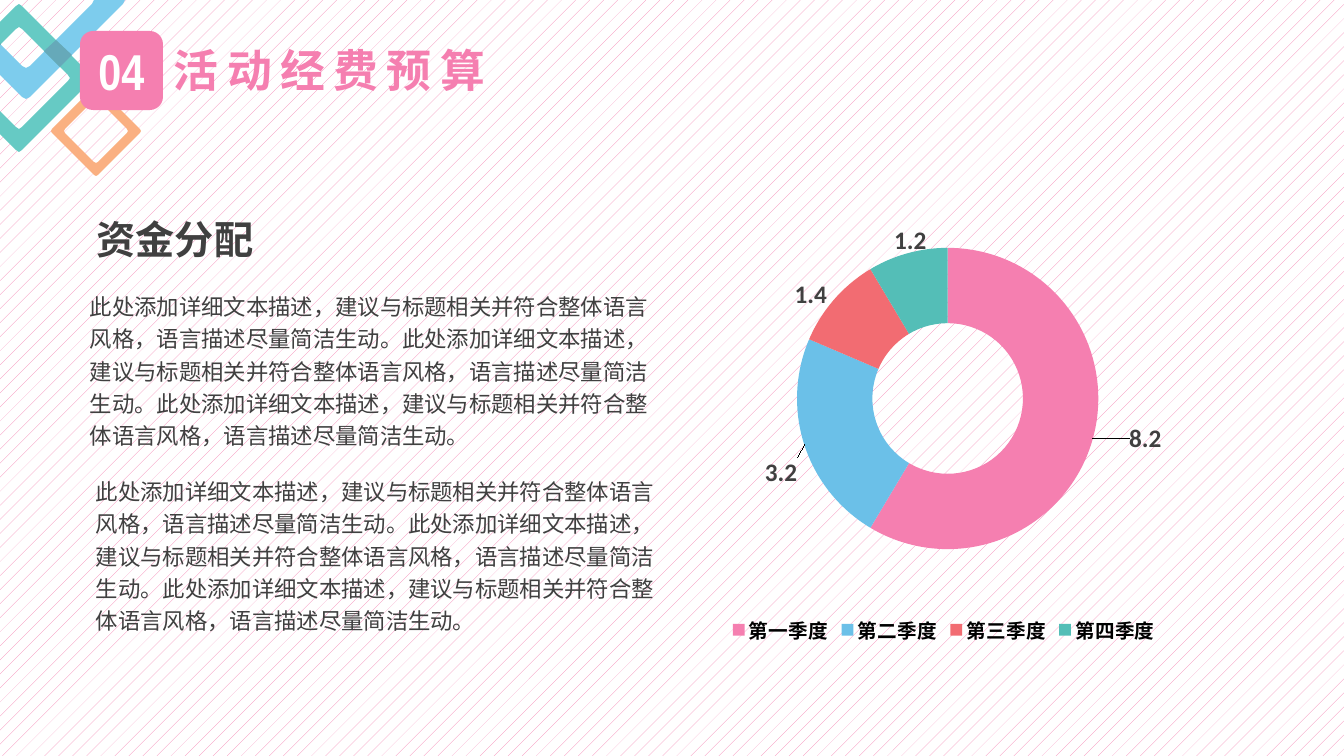
from lxml.etree import SubElement
from pptx import Presentation
from pptx.chart.data import CategoryChartData
from pptx.dml.color import RGBColor
from pptx.enum.chart import XL_CHART_TYPE as ChartType, XL_LEGEND_POSITION as LegendPosition
from pptx.enum.dml import MSO_PATTERN as Pattern
from pptx.enum.shapes import MSO_SHAPE as Shape
from pptx.enum.text import MSO_ANCHOR as Anchor, PP_ALIGN as Align
from pptx.oxml import parse_xml
from pptx.oxml.ns import nsdecls, qn
from pptx.util import Pt

EMU_PER_PX = 914400 / 100.8
CJK = "Noto Sans CJK SC"
COLORS = {
    "pink": "F57FB0", "white": "FFFFFF", "ink": "404040", "black": "000000",
    "sky": "7DCCED", "mint": "66CAC4", "overlap": "66A9B9", "peach": "FAB081",
    "blue": "6BC0E8", "coral": "F26C72", "teal": "54BEB7",
}
DESCRIPTION = "此处添加详细文本描述，建议与标题相关并符合整体语言风格，语言描述尽量简洁生动。" * 3
QUARTERS = [
    ("第一季度", 8.2, "pink", (0.12, 0.02)),
    ("第二季度", 3.2, "blue", (-0.08, 0.08)),
    ("第三季度", 1.4, "coral", (-0.07, -0.06)),
    ("第四季度", 1.2, "teal", (-0.01, -0.1)),
]


def px(*lengths):
    return [round(length * EMU_PER_PX) for length in lengths]


def color(name):
    return RGBColor.from_string(COLORS[name])


def diamond(x, y, radius, cut):
    """Return the outline of a diamond with softened corners."""
    near, tip = radius - cut, radius - cut // 2
    corners = [(-cut, -near), (0, -tip), (cut, -near), (near, -cut), (tip, 0), (near, cut),
               (cut, near), (0, tip), (-cut, near), (-near, cut), (-tip, 0), (-near, -cut)]
    return [(x + dx, y + dy) for dx, dy in corners]


def manual_layout(**values):
    fields = "".join(f'<c:{key} val="{value}"/>' for key, value in values.items())
    return parse_xml(f'<c:layout {nsdecls("c")}><c:manualLayout>{fields}'
                     '</c:manualLayout></c:layout>')


class SlideBuilder:
    """Draws styled elements on the current slide."""

    def __init__(self, slide):
        self.slide = slide
        self.shapes = slide.shapes

    def background(self, fore, back):
        fill = self.slide.background.fill
        fill.patterned()
        fill.pattern = Pattern.PERCENT_5
        fill.fore_color.rgb = color(fore)
        fill.back_color.rgb = color(back)

    def paint(self, shape, fill):
        shape.shadow.inherit = False
        shape.fill.solid()
        shape.fill.fore_color.rgb = color(fill)
        shape.line.fill.background()

    def style(self, font, ink, **formats):
        for name, value in formats.items():
            setattr(font, name, value)
        font.color.rgb = color(ink)

    def outline(self, contours, fill):
        first, *others = contours
        builder = self.shapes.build_freeform(*first[0], scale=EMU_PER_PX)
        builder.add_line_segments(first[1:])
        for contour in others:
            builder.move_to(*contour[0])
            builder.add_line_segments(contour[1:])
        self.paint(builder.convert_to_shape(), fill)

    def ring(self, x, y, outer, inner, cut, fill):
        self.outline([diamond(x, y, outer, cut), diamond(x, y, inner, cut)[::-1]], fill)

    def set_text(self, shape, text, ink, wrap=True, align=Align.LEFT, line_spacing=None,
                 tracking=None, **formats):
        frame = shape.text_frame
        frame.word_wrap = wrap
        paragraph = frame.paragraphs[0]
        paragraph.alignment = align
        paragraph.line_spacing = line_spacing
        run = paragraph.add_run()
        run.text = text
        self.style(run.font, ink, **formats)
        properties = run.font._element
        SubElement(properties, qn("a:ea")).set("typeface", formats["name"])
        if tracking:
            properties.set("spc", str(tracking))

    def text(self, box, text, ink, **formats):
        self.set_text(self.shapes.add_textbox(*px(*box)), text, ink, **formats)

    def badge(self, box, text, fill, ink, **formats):
        badge = self.shapes.add_shape(Shape.ROUNDED_RECTANGLE, *px(*box))
        self.paint(badge, fill)
        badge.text_frame.vertical_anchor = Anchor.MIDDLE
        self.set_text(badge, text, ink, align=Align.CENTER, **formats)

    def doughnut(self, box, quarters):
        data = CategoryChartData()
        data.categories = [quarter for quarter, *_ in quarters]
        data.add_series("Series 1", [value for _, value, *_ in quarters])
        chart = self.shapes.add_chart(ChartType.DOUGHNUT, *px(*box), data).chart
        chart.has_title = False
        self.style(chart.font, "black", name="Calibri", size=Pt(14), bold=True)
        chart.has_legend = True
        chart.legend.position = LegendPosition.BOTTOM
        chart.legend.include_in_layout = False
        chart.legend._element.find(qn("c:legendPos")).addnext(manual_layout(
            xMode="edge", yMode="edge", x=0.13, y=0.86, w=0.79, h=0.08))

        plot = chart.plots[0]
        plot.vary_by_categories = True
        plot._element.find(qn("c:holeSize")).set("val", "75")
        area = plot._element.getparent()
        for layout in area.findall(qn("c:layout")):
            area.remove(layout)
        area.insert(0, manual_layout(layoutTarget="inner", xMode="edge", yMode="edge",
                                     x=0.3, y=0.19, w=0.41, h=0.61))

        series = plot.series[0]
        label_format = dict(name="Calibri", size=Pt(18), bold=True)
        labels = series.data_labels
        labels.show_value = True
        self.style(labels.font, "ink", **label_format)
        for index, (_, _, fill, (dx, dy)) in enumerate(quarters):
            point = series.points[index]
            point.format.fill.solid()
            point.format.fill.fore_color.rgb = color(fill)
            point.format.line.fill.background()
            self.style(point.data_label.font, "ink", **label_format)
            label = labels._element.findall(qn("c:dLbl"))[index]
            label.find(qn("c:idx")).addnext(manual_layout(x=dx, y=dy))


def main():
    deck = Presentation()
    deck.slide_width, deck.slide_height = px(1344, 756)
    page = SlideBuilder(deck.slides.add_slide(deck.slide_layouts[6]))
    page.background("pink", "white")

    page.ring(26, 0, 101, 70, 4, "sky")
    page.ring(19, 78, 75, 52, 3, "mint")
    page.outline([[(56, 40), (44, 51), (60, 67), (72, 55)],
                  [(-10, 33), (-26, 48), (-14, 60), (1, 44)]], "overlap")
    page.ring(96, 131, 46, 33, 2, "peach")

    page.text((86, 210, 178, 57), "资金分配", "ink", wrap=False, align=Align.CENTER,
              name=CJK, size=Pt(28), bold=True)
    page.doughnut((574, 154, 740, 494), QUARTERS)
    for box in [(80, 283, 598, 217), (86, 468, 598, 170)]:
        page.text(box, DESCRIPTION, "ink", line_spacing=1.2, name=CJK, size=Pt(16))

    page.badge((80, 31, 83, 79), "04", "pink", "white",
               name="Arial Narrow", size=Pt(36), bold=True)
    page.text((164, 38, 442, 65), "活动经费预算", "pink", tracking=600,
              name=CJK, size=Pt(32), bold=True)
    deck.save("out.pptx")


if __name__ == "__main__":
    main()
